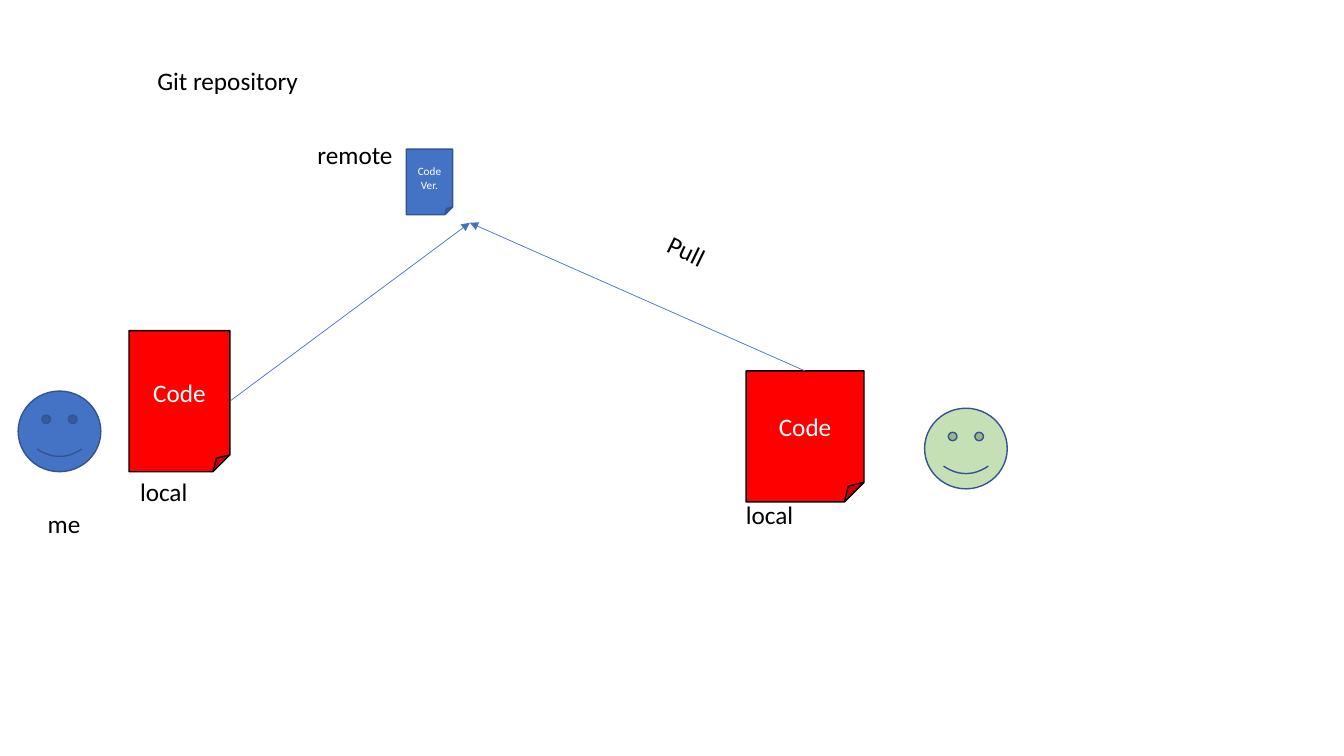
from lxml import etree
from pptx import Presentation
from pptx.dml.color import RGBColor
from pptx.enum.shapes import MSO_CONNECTOR, MSO_SHAPE
from pptx.enum.text import MSO_ANCHOR, MSO_AUTO_SIZE, PP_ALIGN
from pptx.oxml.ns import qn
from pptx.util import Inches, Pt

BLACK = RGBColor(0x00, 0x00, 0x00)
WHITE = RGBColor(0xFF, 0xFF, 0xFF)
RED = RGBColor(0xFF, 0x00, 0x00)
BLUE = RGBColor(0x44, 0x72, 0xC4)
DARK_BLUE = RGBColor(0x32, 0x54, 0x91)
GREEN = RGBColor(0xC5, 0xE0, 0xB4)

FONT = "Calibri"
LABEL_HEIGHT = 0.4
FACE_SIZE = (0.82, 0.8)
REMOTE_POINT = (4.66, 2.21)


def write_lines(frame, lines, size, color, align):
    for index, line in enumerate(lines):
        paragraph = frame.add_paragraph() if index else frame.paragraphs[0]
        paragraph.alignment = align
        run = paragraph.add_run()
        run.text = line
        run.font.name = FONT
        run.font.size = Pt(size)
        run.font.color.rgb = color


def fill_label(shape, text, align=PP_ALIGN.LEFT):
    frame = shape.text_frame
    frame.word_wrap = True
    frame.auto_size = MSO_AUTO_SIZE.SHAPE_TO_FIT_TEXT
    frame.vertical_anchor = MSO_ANCHOR.TOP
    write_lines(frame, [text], 18, BLACK, align)


def set_title(slide, text, left, top, width):
    title = slide.shapes.title
    title.left, title.top = Inches(left), Inches(top)
    title.width, title.height = Inches(width), Inches(LABEL_HEIGHT)
    fill_label(title, text)


def add_label(slide, text, left, top, width=1.65, align=PP_ALIGN.LEFT, rotation=0):
    label = slide.shapes.add_textbox(
        Inches(left), Inches(top), Inches(width), Inches(LABEL_HEIGHT))
    label.rotation = rotation
    fill_label(label, text, align)


def add_figure(slide, kind, left, top, width, height, fill, outline):
    """Add a filled preset shape with a thin outline."""
    shape = slide.shapes.add_shape(
        kind, Inches(left), Inches(top), Inches(width), Inches(height))
    shape.shadow.inherit = False
    shape.fill.solid()
    shape.fill.fore_color.rgb = fill
    shape.line.color.rgb = outline
    shape.line.width = Pt(1)
    return shape


def add_face(slide, left, top, fill):
    add_figure(slide, MSO_SHAPE.SMILEY_FACE, left, top, *FACE_SIZE, fill, DARK_BLUE)


def add_document(slide, lines, left, top, width, height, fill, outline, size=18):
    document = add_figure(
        slide, MSO_SHAPE.FOLDED_CORNER, left, top, width, height, fill, outline)
    document.text_frame.word_wrap = True
    document.text_frame.vertical_anchor = MSO_ANCHOR.MIDDLE
    write_lines(document.text_frame, lines, size, WHITE, PP_ALIGN.CENTER)
    return document


def add_arrow_to_remote(slide, document, side):
    """Draw an arrow from the middle of a document's side to the remote."""
    x, y = (Inches(value) for value in REMOTE_POINT)
    arrow = slide.shapes.add_connector(
        MSO_CONNECTOR.STRAIGHT, document.left, document.top, x, y)
    arrow.begin_connect(document, side)
    arrow.line.color.rgb = BLUE
    arrow.line.width = Pt(0.5)
    properties = arrow.line._get_or_add_ln()
    etree.SubElement(properties, qn("a:tailEnd"), type="triangle")
    etree.SubElement(properties.getparent(), qn("a:effectLst"))


def main():
    presentation = Presentation()
    presentation.slide_width = Inches(13.33)
    presentation.slide_height = Inches(7.5)
    slide = presentation.slides.add_slide(presentation.slide_layouts[5])

    set_title(slide, "Git repository", 1.46, 0.6, 2.32)

    their_code = add_document(slide, ["Code"], 7.4, 3.68, 1.17, 1.3, RED, BLACK)
    add_face(slide, 0.18, 3.88, BLUE)
    add_label(slide, "me", 0.05, 4.99, 1.17, PP_ALIGN.CENTER)
    add_face(slide, 9.17, 4.05, GREEN)
    my_code = add_document(slide, ["Code"], 1.28, 3.28, 1, 1.4, RED, BLACK)

    add_arrow_to_remote(slide, my_code, 3)
    add_arrow_to_remote(slide, their_code, 0)

    add_label(slide, "remote", 3.05, 1.33)
    add_label(slide, "local", 1.29, 4.68)
    add_label(slide, "local", 7.3, 4.9)
    add_document(slide, ["Code", "Ver."], 4.03, 1.48, 0.46, 0.65, BLUE, DARK_BLUE, 8)
    add_label(slide, "Pull", 6.47, 2.52, rotation=25.9)

    presentation.save("out.pptx")


if __name__ == "__main__":
    main()
